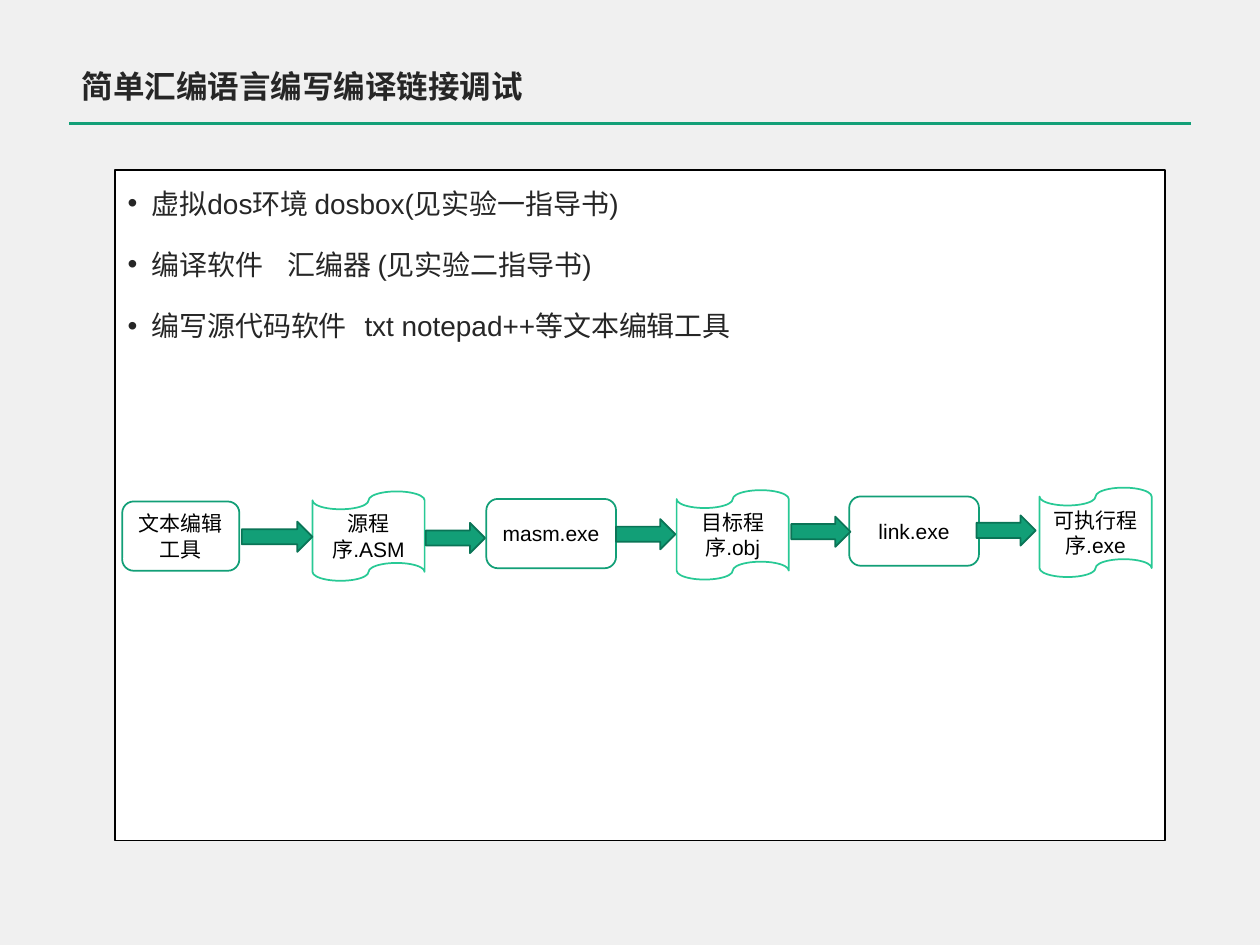
from dataclasses import dataclass

import pptx
import pptx.dml.color
import pptx.enum.shapes
import pptx.enum.text
import pptx.oxml
import pptx.oxml.ns
import pptx.util

SHAPE = pptx.enum.shapes.MSO_SHAPE
ANCHOR = pptx.enum.text.MSO_ANCHOR
ALIGN = pptx.enum.text.PP_ALIGN
WIDTH, HEIGHT = pptx.util.Inches(10), pptx.util.Inches(7.5)
COLUMNS, ROWS = 100, 75


@dataclass(frozen=True)
class Theme:
    font: str = "Arial"
    background: str = "F0F0F0"
    panel: str = "FFFFFF"
    ink: str = "262626"
    black: str = "000000"
    green: str = "129F77"
    dark_green: str = "0A7456"
    light_green: str = "28C995"
    title_size: float = 18
    bullet_size: float = 16
    step_size: float = 12
    line_width: float = 1
    rule_width: float = 1.5


THEME = Theme()

# Bullet text and, where it holds a tab, the tab stop in columns
BULLETS = [
    ("虚拟dos环境 dosbox(见实验一指导书)", None),
    ("编译软件\t汇编器 (见实验二指导书)", 12.7),
    ("编写源代码软件\ttxt notepad++等文本编辑工具", 18.8),
]

# Outline, height in rows and line colour of each kind of step
KINDS = {
    "tool": (SHAPE.ROUNDED_RECTANGLE, 5.5, THEME.green),
    "file": (SHAPE.FLOWCHART_PUNCHED_TAPE, 7.1, THEME.light_green),
}
# Kind, text, left column, width in columns, middle row
STEPS = [
    ("tool", "文本编辑\n工具", 9.7, 9.3, 42.55),
    ("file", "源程序.ASM", 24.8, 8.9, 42.55),
    ("tool", "masm.exe", 38.6, 10.3, 42.35),
    ("file", "目标程序.obj", 53.7, 8.9, 42.45),
    ("tool", "link.exe", 67.4, 10.3, 42.15),
    ("file", "可执行程序.exe", 82.5, 8.9, 42.25),
]
# Left column, width in columns, middle row
ARROWS = [
    (19.2, 5.6, 42.6),
    (33.8, 4.7, 42.7),
    (48.9, 4.7, 42.4),
    (62.8, 4.7, 42.2),
    (77.5, 4.7, 42.1),
]
ARROW_HEIGHT = 2.4


def across(columns):
    return round(WIDTH * columns / COLUMNS)


def down(rows):
    return round(HEIGHT * rows / ROWS)


def place(left, top, width, height):
    return across(left), down(top), across(width), down(height)


def color(value):
    return pptx.dml.color.RGBColor.from_string(value)


def add_panel(slide, outline, box, fill, line):
    shape = slide.shapes.add_shape(outline, *place(*box))
    shape.shadow.inherit = False
    shape.fill.solid()
    shape.fill.fore_color.rgb = color(fill)
    shape.line.color.rgb = color(line)
    shape.line.width = pptx.util.Pt(THEME.line_width)
    return shape


def write(shape, text, size, ink, align=ALIGN.LEFT, anchor=ANCHOR.TOP, bold=False):
    """Fill the shape with text that keeps punctuation inside the line."""
    text_frame = shape.text_frame
    text_frame.word_wrap = True
    text_frame.vertical_anchor = anchor
    text_frame.text = text
    for paragraph in text_frame.paragraphs:
        paragraph.alignment = align
        paragraph._p.get_or_add_pPr().set("hangingPunct", "0")
        for run in paragraph.runs:
            run.font.name = THEME.font
            run.font.size = pptx.util.Pt(size)
            run.font.bold = bold
            run.font.color.rgb = color(ink)


def add_bullet(paragraph, tab_stop):
    """Hang the paragraph on a bullet, with a tab stop where one is given."""
    properties = paragraph._p.get_or_add_pPr()
    properties.set("marL", str(across(1.9)))
    properties.set("indent", str(-across(1.9)))
    namespace = pptx.oxml.ns.nsdecls("a")
    parts = [
        f'<a:buClr {namespace}><a:srgbClr val="{THEME.ink}"/></a:buClr>',
        f'<a:buFont {namespace} typeface="{THEME.font}"/>',
        f'<a:buChar {namespace} char="•"/>',
    ]
    if tab_stop is not None:
        parts.append(f'<a:tabLst {namespace}><a:tab pos="{across(tab_stop)}" algn="l"/></a:tabLst>')
    for part in parts:
        properties.append(pptx.oxml.parse_xml(part))
    paragraph.line_spacing = 1.3
    paragraph.space_after = pptx.util.Pt(10)


def add_title(slide, text):
    title = slide.shapes.add_textbox(*place(5.5, 4.8, 89, 4.8))
    write(title, text, THEME.title_size, THEME.ink, bold=True)
    rule = slide.shapes.add_connector(
        pptx.enum.shapes.MSO_CONNECTOR.STRAIGHT,
        across(5.5), down(9.8), across(94.5), down(9.8))
    rule.line.color.rgb = color(THEME.green)
    rule.line.width = pptx.util.Pt(THEME.rule_width)
    rule._element.spPr.append(
        pptx.oxml.parse_xml(f'<a:effectLst {pptx.oxml.ns.nsdecls("a")}/>'))


def add_bullet_panel(slide, bullets):
    panel = add_panel(slide, SHAPE.RECTANGLE, (9.15, 13.5, 83.3, 53.2), THEME.panel, THEME.black)
    write(panel, "\n".join(text for text, _ in bullets), THEME.bullet_size, THEME.ink)
    for paragraph, (_, tab_stop) in zip(panel.text_frame.paragraphs, bullets):
        add_bullet(paragraph, tab_stop)


def add_step(slide, kind, text, left, width, middle):
    outline, height, line = KINDS[kind]
    box = (left, middle - height / 2, width, height)
    step = add_panel(slide, outline, box, THEME.panel, line)
    write(step, text, THEME.step_size, THEME.black, align=ALIGN.CENTER, anchor=ANCHOR.MIDDLE)


def add_arrow(slide, left, width, middle):
    box = (left, middle - ARROW_HEIGHT / 2, width, ARROW_HEIGHT)
    add_panel(slide, SHAPE.RIGHT_ARROW, box, THEME.green, THEME.dark_green)


def main():
    presentation = pptx.Presentation()
    presentation.slide_width, presentation.slide_height = WIDTH, HEIGHT
    slide = presentation.slides.add_slide(presentation.slide_layouts[6])
    slide.background.fill.solid()
    slide.background.fill.fore_color.rgb = color(THEME.background)

    add_title(slide, "简单汇编语言编写编译链接调试")
    add_bullet_panel(slide, BULLETS)
    for step in STEPS:
        add_step(slide, *step)
    for arrow in ARROWS:
        add_arrow(slide, *arrow)

    presentation.save("out.pptx")


if __name__ == "__main__":
    main()
